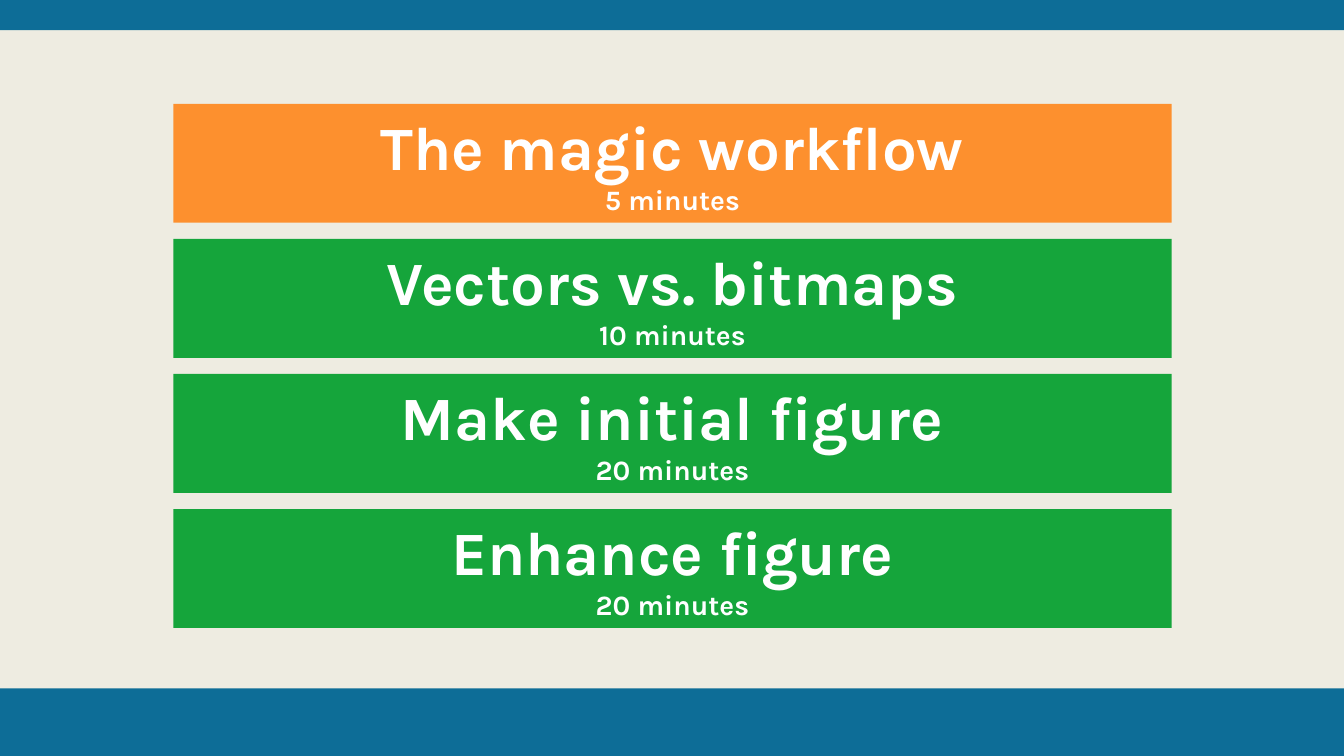
"""Builds a workshop agenda slide with four timed sections."""
from pptx import Presentation
from pptx.dml.color import RGBColor
from pptx.enum.shapes import MSO_SHAPE
from pptx.enum.text import MSO_ANCHOR, MSO_AUTO_SIZE, PP_ALIGN
from pptx.util import Inches, Pt

CREAM = RGBColor(0xEE, 0xEC, 0xE1)
BLUE = RGBColor(0x0D, 0x6D, 0x97)
ORANGE = RGBColor(0xFD, 0x90, 0x2E)
GREEN = RGBColor(0x15, 0xA5, 0x3B)
WHITE = RGBColor(0xFF, 0xFF, 0xFF)

WIDTH, HEIGHT = 13.33, 7.5
HEADER_HEIGHT, FOOTER_HEIGHT = 0.3, 0.67
SECTION_HEIGHT, SECTION_PITCH = 1.18, 1.34
CURRENT_SECTION = "The magic workflow"
SECTIONS = [
    (CURRENT_SECTION, "5 minutes"),
    ("Vectors vs. bitmaps", "10 minutes"),
    ("Make initial figure", "20 minutes"),
    ("Enhance figure", "20 minutes"),
]


def add_band(slide, left, top, width, height, color):
    band = slide.shapes.add_shape(
        MSO_SHAPE.RECTANGLE, Inches(left), Inches(top), Inches(width), Inches(height))
    band.shadow.inherit = False
    band.fill.solid()
    band.fill.fore_color.rgb = color
    band.line.fill.background()
    return band


def add_frame(slide, width, height):
    slide.background.fill.solid()
    slide.background.fill.fore_color.rgb = CREAM
    add_band(slide, 0, height - FOOTER_HEIGHT, width, FOOTER_HEIGHT, BLUE)
    add_band(slide, 0, 0, width, HEADER_HEIGHT, BLUE)


def add_section(slide, left, top, width, title, duration):
    color = ORANGE if title == CURRENT_SECTION else GREEN
    section = add_band(slide, left, top, width, SECTION_HEIGHT, color)
    frame = section.text_frame
    frame.word_wrap = True
    frame.auto_size = MSO_AUTO_SIZE.SHAPE_TO_FIT_TEXT
    frame.vertical_anchor = MSO_ANCHOR.TOP
    frame.text = f"{title}\n{duration}"
    for paragraph, size in zip(frame.paragraphs, (44, 20)):
        paragraph.alignment = PP_ALIGN.CENTER
        paragraph.font.name = "Karla"
        paragraph.font.size = Pt(size)
        paragraph.font.bold = True
        paragraph.font.color.rgb = WHITE


def add_agenda(slide, left, top, width):
    for index, (title, duration) in enumerate(SECTIONS):
        add_section(slide, left, top + index * SECTION_PITCH, width, title, duration)


def main():
    deck = Presentation()
    deck.slide_width, deck.slide_height = Inches(WIDTH), Inches(HEIGHT)
    agenda = deck.slides.add_slide(deck.slide_layouts[6])
    add_frame(agenda, WIDTH, HEIGHT)
    add_agenda(agenda, 1.72, 1.03, 9.9)
    deck.save("out.pptx")


if __name__ == "__main__":
    main()
